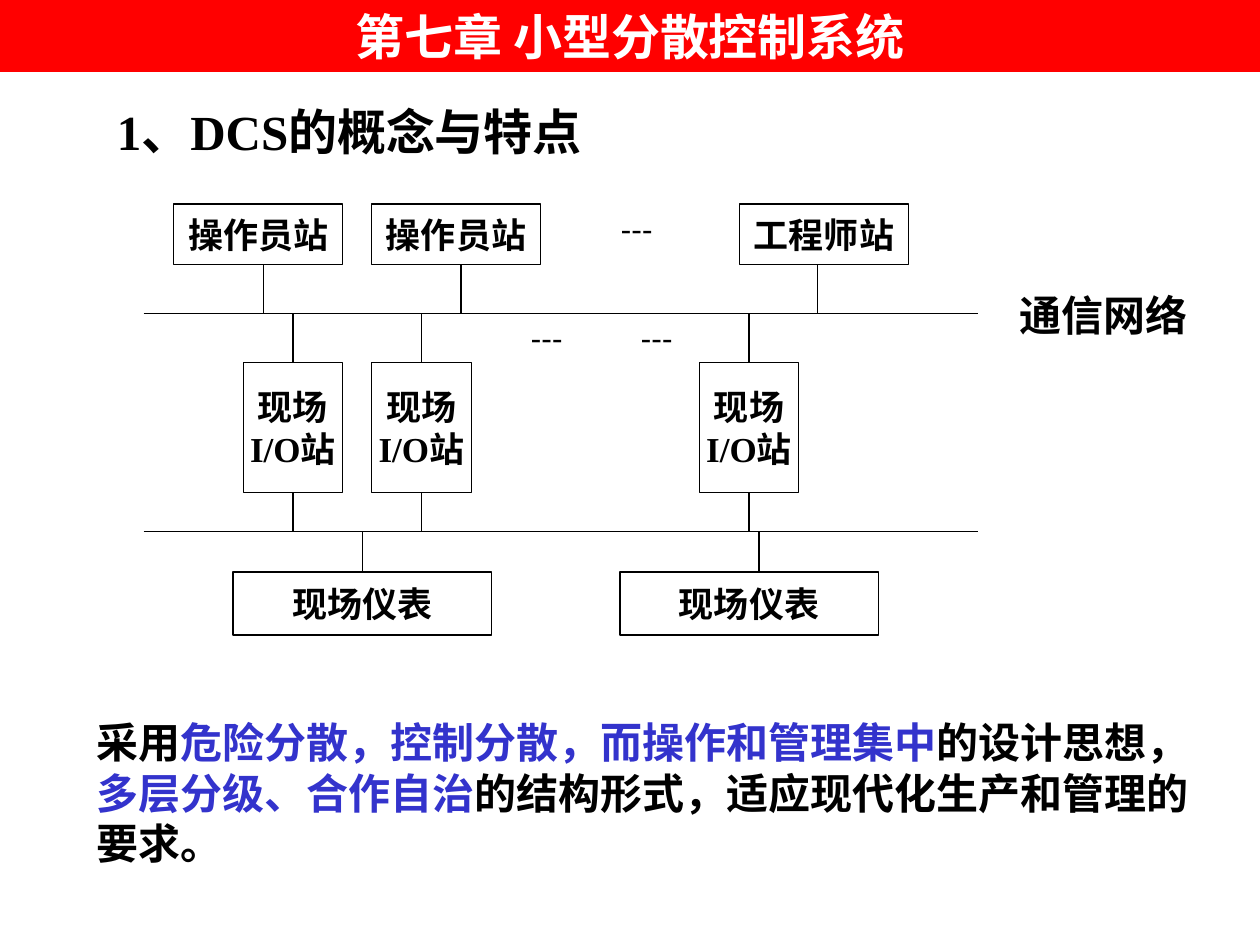
from lxml import etree
from pptx import Presentation
from pptx import util as u
from pptx.dml.color import RGBColor
from pptx.enum import shapes, text
from pptx.oxml import ns

HUES = {"ink": "000000", "bar": "FF0000", "white": "FFFFFF", "key": "3333CC"}
FACE = "Times New Roman"
BUS = 2.49
FIELD = 4.22


def hue(name):
    return RGBColor.from_string(HUES[name])


def write(frame, rows, size=20, color="ink", align=None, anchor="top", wrap=True):
    frame.word_wrap = wrap
    frame.auto_size = text.MSO_AUTO_SIZE.NONE
    frame.vertical_anchor = getattr(text.MSO_ANCHOR, anchor.upper())
    for i, row in enumerate(rows):
        para = frame.paragraphs[0] if i == 0 else frame.add_paragraph()
        if align:
            para.alignment = getattr(text.PP_ALIGN, align.upper())
        for part in [row] if isinstance(row, str) else row:
            words, shade = (part, color) if isinstance(part, str) else part
            run = para.add_run()
            run.text = words
            run.font.name = FACE
            run.font.size = u.Pt(size)
            run.font.bold = True
            run.font.color.rgb = hue(shade)


def label(slide, spot, rows, **style):
    box = slide.shapes.add_textbox(*map(u.Inches, spot))
    write(box.text_frame, rows, **style)


def block(slide, spot, rows):
    box = slide.shapes.add_shape(shapes.MSO_SHAPE.RECTANGLE, *map(u.Inches, spot))
    box.shadow.inherit = False
    box.fill.background()
    box.line.color.rgb = hue("ink")
    box.line.width = u.Pt(0.75)
    write(box.text_frame, rows, align="center", anchor="middle", wrap=False)
    return box


def rule(slide, *ends):
    line = slide.shapes.add_connector(shapes.MSO_CONNECTOR.STRAIGHT, *ends)
    line.line.color.rgb = hue("ink")
    line.line.width = u.Pt(0.75)
    etree.SubElement(line._element.spPr, ns.qn("a:effectLst"))
    return line


def stem(slide, box, site, level, shift=0):
    x = box.left + box.width // 2 + u.Inches(shift)
    y = box.top + (box.height if site == 2 else 0)
    line = rule(slide, x, y, x, u.Inches(level))
    if not shift:
        line.begin_connect(box, site)


def head(slide):
    bar = slide.shapes.title
    bar.left, bar.top, bar.width, bar.height = map(u.Inches, (0, 0, 10, 0.57))
    bar.fill.solid()
    bar.fill.fore_color.rgb = hue("bar")
    write(bar.text_frame, ["第七章 小型分散控制系统"], size=28, color="white", align="center")


def chart(slide):
    for level in (BUS, FIELD):
        rule(slide, *map(u.Inches, (1.14, level, 7.76, level)))
    for x, name, shift in ((1.38, "操作员站", 0.04), (2.95, "操作员站", 0.04), (5.87, "工程师站", -0.05)):
        stem(slide, block(slide, (x, 1.62, 1.34, 0.48), [name]), 2, BUS, shift)
    for x in (1.93, 2.95, 5.55):
        box = block(slide, (x, 2.88, 0.79, 1.03), ["现场", "I/O站"])
        stem(slide, box, 0, BUS)
        stem(slide, box, 2, FIELD)
    for x, shift in ((1.85, 0), (4.92, 0.08)):
        stem(slide, block(slide, (x, 4.54, 2.05, 0.5), ["现场仪表"]), 0, FIELD, shift)
    for x, y in ((4.76, 1.7), (4.05, 2.57), (4.92, 2.57)):
        label(slide, (x, y, 1.02, 0.57), ["﹉"], size=28)


def main():
    deck = Presentation()
    deck.slide_width, deck.slide_height = u.Inches(10), u.Inches(7.5)
    slide = deck.slides.add_slide(deck.slide_layouts[5])
    head(slide)
    label(slide, (0.83, 0.76, 4.25, 0.57), ["1、DCS的概念与特点"], size=28)
    chart(slide)
    label(slide, (7.99, 2.25, 1.65, 0.5), ["通信网络"], size=24)
    label(slide, (0.67, 5.64, 9.06, 1.3), [
        ["采用", ("危险分散，控制分散，而操作和管理集中", "key"), "的设计思想，"],
        [("多层分级、合作自治", "key"), "的结构形式，适应现代化生产和管理的要求。"],
    ], size=24)
    deck.save("out.pptx")


if __name__ == "__main__":
    main()
